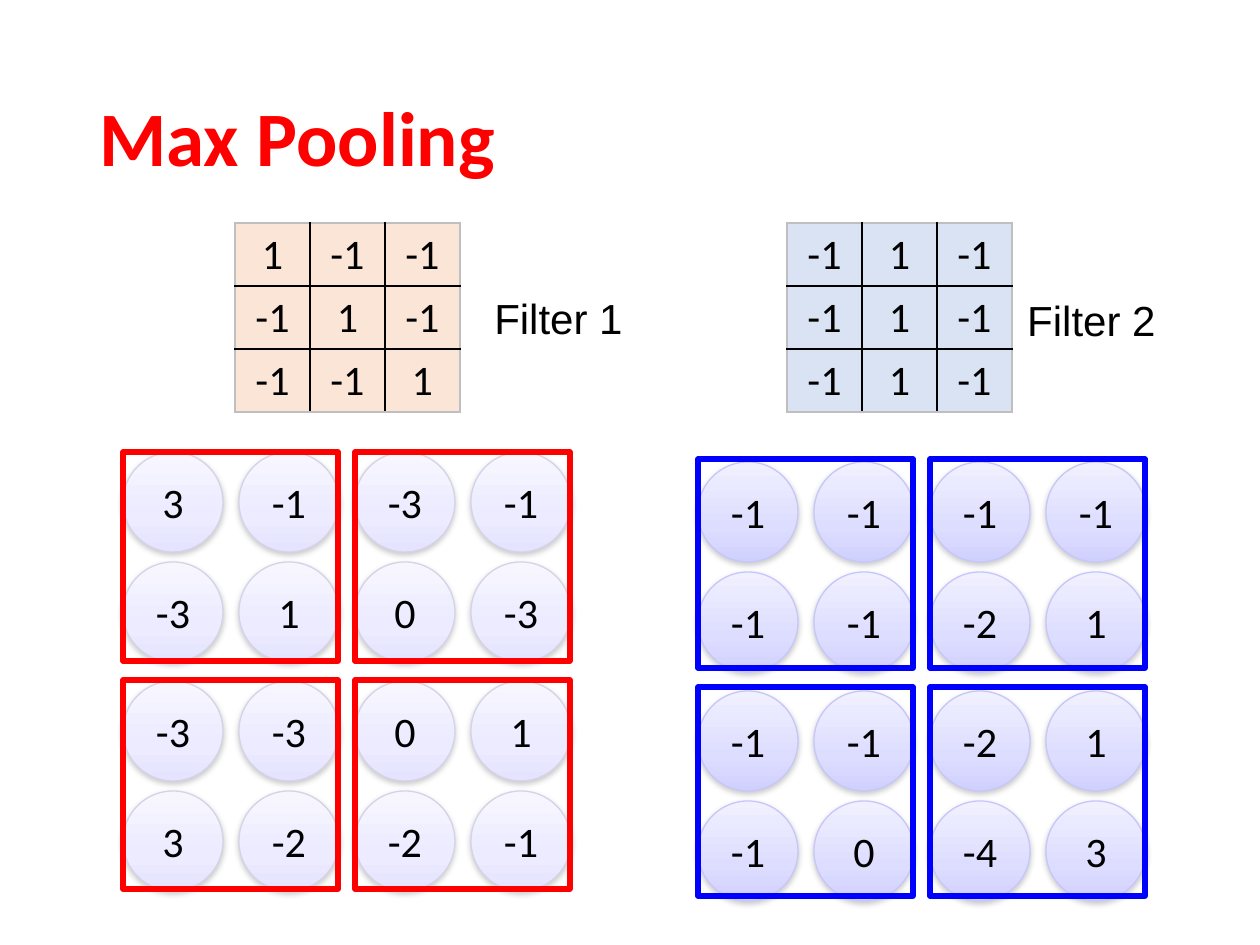
from copy import deepcopy
from dataclasses import dataclass

from lxml.etree import SubElement
from pptx import Presentation
from pptx.dml.color import RGBColor
from pptx.enum.shapes import MSO_SHAPE
from pptx.enum.text import MSO_ANCHOR, PP_ALIGN
from pptx.oxml.ns import qn
from pptx.util import Emu, Pt

SCALE = 914400 / 126  # EMU in one px


def px(*lengths):
    return [Emu(round(length * SCALE)) for length in lengths]


def rgb(value):
    return RGBColor.from_string(value)


@dataclass(frozen=True)
class Theme:
    body_font: str = "Calibri"
    label_font: str = "Arial"
    title_size: int = 44
    text_size: int = 24
    ink: str = "000000"
    red: str = "FF0000"
    blue: str = "0000FF"
    peach: str = "FBE5D6"
    sky: str = "DAE3F3"
    grid_edge: str = "BFBFBF"
    shadow: str = "808080"
    pale_stops: tuple = ((0, "F7F6FF"), (0.65, "ECEBFF"), (1, "E5E3FF"))
    pale_line: str = "D4D3E7"
    lilac_stops: tuple = ((0, "F0F0FF"), (0.65, "DDDDFF"), (1, "D0D0FF"))
    lilac_line: str = "C6C6FB"


class SlideBuilder:
    def __init__(self, page, theme):
        self.page = page
        self.theme = theme

    def fill_text(self, frame, text, align=PP_ALIGN.CENTER, **changes):
        """Put one formatted paragraph into a text frame."""
        para = frame.paragraphs[0]
        para.alignment = align
        span = para.add_run()
        span.text = text
        style = {"name": self.theme.body_font, "size": Pt(self.theme.text_size)}
        color = changes.pop("color", self.theme.ink)
        for key, value in (style | changes).items():
            setattr(span.font, key, value)
        span.font.color.rgb = rgb(color)
        return para

    def text(self, place, text, anchor=MSO_ANCHOR.TOP, **format_values):
        box = self.page.shapes.add_textbox(*px(*place))
        box.text_frame.word_wrap = True
        box.text_frame.vertical_anchor = anchor
        return self.fill_text(box.text_frame, text, **format_values)

    def circle(self, place, text, stops, line):
        shape = self.page.shapes.add_shape(MSO_SHAPE.OVAL, *px(*place))
        shape.fill.gradient()
        shape.fill.gradient_angle = 270
        stop_list = shape.element.spPr.find(qn("a:gradFill")).find(qn("a:gsLst"))
        stop_list.insert(1, deepcopy(stop_list[0]))
        for stop, (position, color) in zip(shape.fill.gradient_stops, stops):
            stop.position = position
            stop.color.rgb = rgb(color)
        shape.line.color.rgb = rgb(line)
        shape.line.width = Pt(0.75)
        self.soft_shadow(shape)
        shape.text_frame.vertical_anchor = MSO_ANCHOR.MIDDLE
        self.fill_text(shape.text_frame, text)

    def soft_shadow(self, shape):
        shape.shadow.inherit = False
        effects = shape.element.spPr.find(qn("a:effectLst"))
        shadow = SubElement(effects, qn("a:outerShdw"), blurRad=str(Pt(3.1)),
                            dist=str(Pt(1.6)), dir="5400000", rotWithShape="0")
        color = SubElement(shadow, qn("a:srgbClr"), val=self.theme.shadow)
        SubElement(color, qn("a:alpha"), val="38000")

    def frame(self, place, color):
        shape = self.page.shapes.add_shape(MSO_SHAPE.RECTANGLE, *px(*place))
        shape.shadow.inherit = False
        shape.fill.background()
        shape.line.color.rgb = rgb(color)
        shape.line.width = Pt(3)

    def table(self, left, top, column, row, values, fill):
        count = len(values)
        place = px(left, top, column * count, row * count)
        table = self.page.shapes.add_table(count, count, *place).table
        last = count - 1
        for i, line in enumerate(values):
            for j, value in enumerate(line):
                cell = table.cell(i, j)
                outer = {"lnL": j == 0, "lnR": j == last, "lnT": i == 0, "lnB": i == last}
                self.borders(cell, outer)
                cell.fill.solid()
                cell.fill.fore_color.rgb = rgb(fill)
                self.fill_text(cell.text_frame, str(value))

    def borders(self, cell, outer):
        properties = cell._tc.get_or_add_tcPr()
        for side, is_outer in outer.items():
            line = SubElement(properties, qn(f"a:{side}"), w=str(Pt(1)))
            color = self.theme.grid_edge if is_outer else self.theme.ink
            SubElement(SubElement(line, qn("a:solidFill")), qn("a:srgbClr"), val=color)


def main():
    theme = Theme()
    deck = Presentation()
    deck.slide_width, deck.slide_height = px(1260, 945)
    slide = SlideBuilder(deck.slides.add_slide(deck.slide_layouts[6]), theme)

    # Title
    title = slide.text((87, 50, 1086, 183), "Max Pooling", MSO_ANCHOR.MIDDLE,
                       align=PP_ALIGN.LEFT, size=Pt(theme.title_size),
                       bold=True, color=theme.red)
    title.line_spacing = 0.9

    # Filters with their labels
    filters = [
        ("Filter 1", 235, (459, 286), theme.peach,
         [[1, -1, -1], [-1, 1, -1], [-1, -1, 1]]),
        ("Filter 2", 787, (992, 288), theme.sky,
         [[-1, 1, -1], [-1, 1, -1], [-1, 1, -1]]),
    ]
    for name, left, label_place, fill, values in filters:
        slide.table(left, 223, 75, 63, values, fill)
        slide.text((*label_place, 199, 64), name, name=theme.label_font)

    # Feature maps: 4 x 4 circles under 2 x 2 pooling frames
    maps = [
        (123, 452, 452, theme.pale_stops, theme.pale_line, theme.red,
         [[3, -1, -3, -1], [-3, 1, 0, -3], [-3, -3, 0, 1], [3, -2, -2, -1]]),
        (698, 462, 459, theme.lilac_stops, theme.lilac_line, theme.blue,
         [[-1, -1, -1, -1], [-1, -1, -2, 1], [-1, -1, -2, 1], [-1, 0, -4, 3]]),
    ]
    circle_rows = (0, 110, 229, 339)
    step = 116
    for left, circle_top, frame_top, stops, line, frame_color, values in maps:
        for offset, row in zip(circle_rows, values):
            for j, value in enumerate(row):
                place = (left + j * step, circle_top + offset, 100, 100)
                slide.circle(place, str(value), stops, line)
        for i in range(2):
            for j in range(2):
                place = (left + j * 2 * step, frame_top + i * 228, 215, 209)
                slide.frame(place, frame_color)

    deck.save("out.pptx")


if __name__ == "__main__":
    main()
